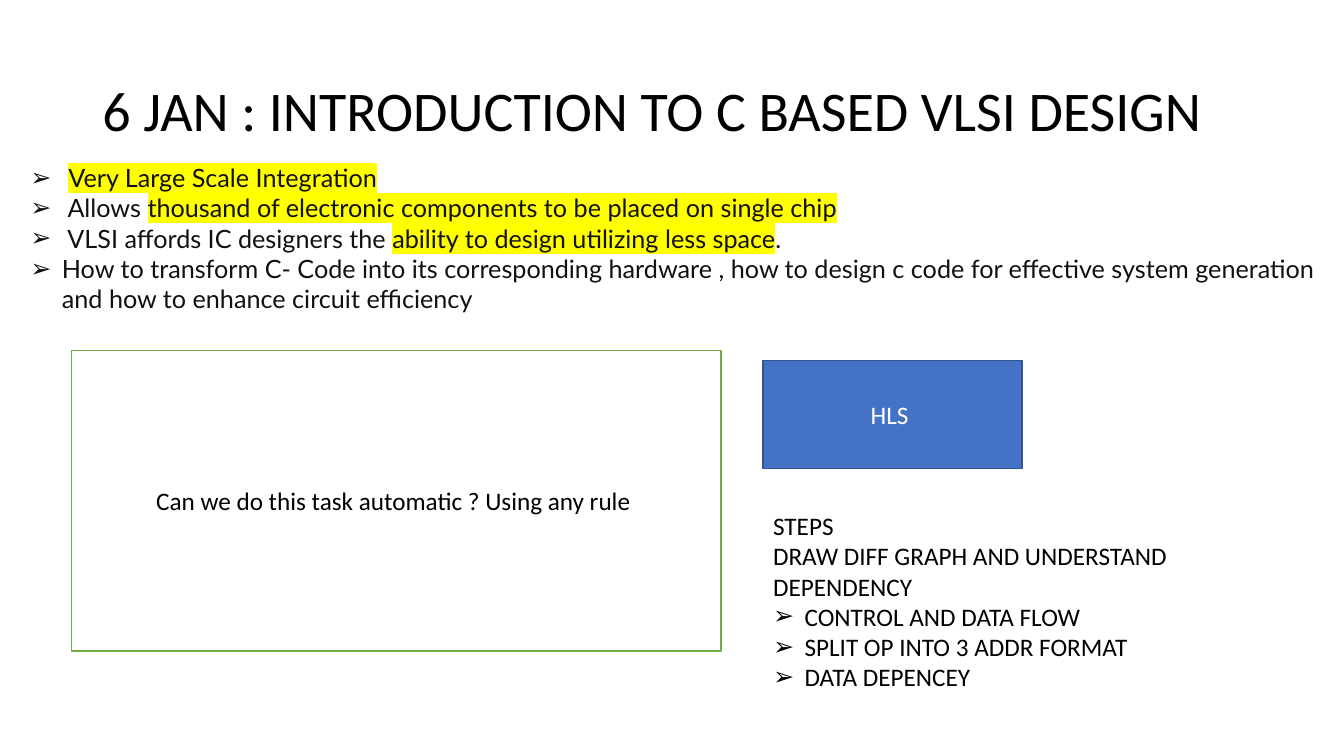
from dataclasses import dataclass
from typing import Any

from lxml.etree import SubElement as Sub
from pptx import Presentation
from pptx.dml.color import RGBColor as Rgb
from pptx.enum.shapes import MSO_SHAPE as Kind
from pptx.enum.text import MSO_ANCHOR as Anchor, MSO_AUTO_SIZE as Fit, PP_ALIGN as Align
from pptx.oxml.ns import qn
from pptx.util import Pt

HUES = {
    "black": "000000", "ink": "111111", "white": "FFFFFF", "mark": "FFFF00",
    "blue": "4472C4", "navy": "325491", "green": "70AD47",
}
INDENT = 22.5


@dataclass
class Run:
    text: str
    mark: bool = False


@dataclass
class Line:
    runs: list[Run]
    point: bool = True


@dataclass
class Box:
    text: str
    area: tuple[float, float, float, float]
    fill: str
    edge: str
    ink: str


def hue(name: str) -> Rgb:
    return Rgb.from_string(HUES[name])


def place(shape: Any, area: tuple[float, float, float, float]) -> None:
    shape.left, shape.top, shape.width, shape.height = map(Pt, area)


def write(shape: Any, lines: list[Line], *, size: float = 18, font: str = "Calibri",
          ink: str = "black", align: Any = Align.LEFT, anchor: Any = Anchor.TOP,
          space: float = 1) -> None:
    frame = shape.text_frame
    frame.word_wrap = True
    frame.auto_size = Fit.NONE
    frame.vertical_anchor = anchor
    for i, line in enumerate(lines):
        para = frame.add_paragraph() if i else frame.paragraphs[0]
        para.alignment = align
        para.line_spacing = space
        para.space_before = para.space_after = Pt(0)
        props = para._p.get_or_add_pPr()
        dent = Pt(INDENT) if line.point else 0
        props.set("marL", str(dent))
        props.set("indent", str(-dent))
        if line.point:
            Sub(props, qn("a:buChar"), char="➢")
        else:
            Sub(props, qn("a:buNone"))
        for part in line.runs:
            run = para.add_run()
            run.text = part.text
            run.font.size = Pt(size)
            run.font.color.rgb = hue(ink)
            if part.mark:
                glow = Sub(run._r.get_or_add_rPr(), qn("a:highlight"))
                Sub(glow, qn("a:srgbClr"), val=HUES["mark"])
            run.font.name = font


def plain(text: str) -> Line:
    return Line([Run(text)], point=False)


def draw(slide: Any, box: Box) -> None:
    shape = slide.shapes.add_shape(Kind.RECTANGLE, *map(Pt, box.area))
    shape.shadow.inherit = False
    shape.fill.solid()
    shape.fill.fore_color.rgb = hue(box.fill)
    shape.line.color.rgb = hue(box.edge)
    shape.line.width = Pt(1)
    write(shape, [plain(box.text)], ink=box.ink, align=Align.CENTER, anchor=Anchor.MIDDLE)


FACTS = [
    Line([Run("\u00a0"), Run("Very Large Scale Integration", True)]),
    Line([Run(" Allows "),
          Run("thousand of electronic components to be placed on single chip", True)]),
    Line([Run(" VLSI affords IC designers the "),
          Run("ability to design utilizing less space", True), Run(". ")]),
    Line([Run("How to transform C- Code into its corresponding hardware , how to design "
              "c code for effective system generation and how to enhance circuit efficiency")]),
]
STEPS = [
    plain("STEPS"),
    plain("DRAW DIFF GRAPH AND UNDERSTAND DEPENDENCY"),
    Line([Run("CONTROL AND DATA FLOW")]),
    Line([Run("SPLIT OP INTO 3 ADDR FORMAT")]),
    Line([Run("DATA DEPENCEY")]),
]
BOXES = [
    Box("Can we do this task automatic ? Using any rule ", (51, 250.5, 464, 214.5),
        "white", "green", "black"),
    Box("HLS ", (545, 257.5, 185, 77), "blue", "navy", "white"),
]

deck = Presentation()
deck.slide_width, deck.slide_height = Pt(960), Pt(540)
slide = deck.slides.add_slide(deck.slide_layouts[3])
title, facts, steps = slide.placeholders

place(title, (66, 28.75, 828, 104.5))
write(title, [plain("6 JAN : INTRODUCTION TO C BASED VLSI DESIGN")],
      size=40, anchor=Anchor.MIDDLE, space=0.9)
place(facts, (14.5, 112.5, 946, 116.5))
write(facts, FACTS, font="Lato", ink="ink")
for box in BOXES:
    draw(slide, box)
place(steps, (545, 361, 363.5, 138))
write(steps, STEPS)

deck.save("out.pptx")
